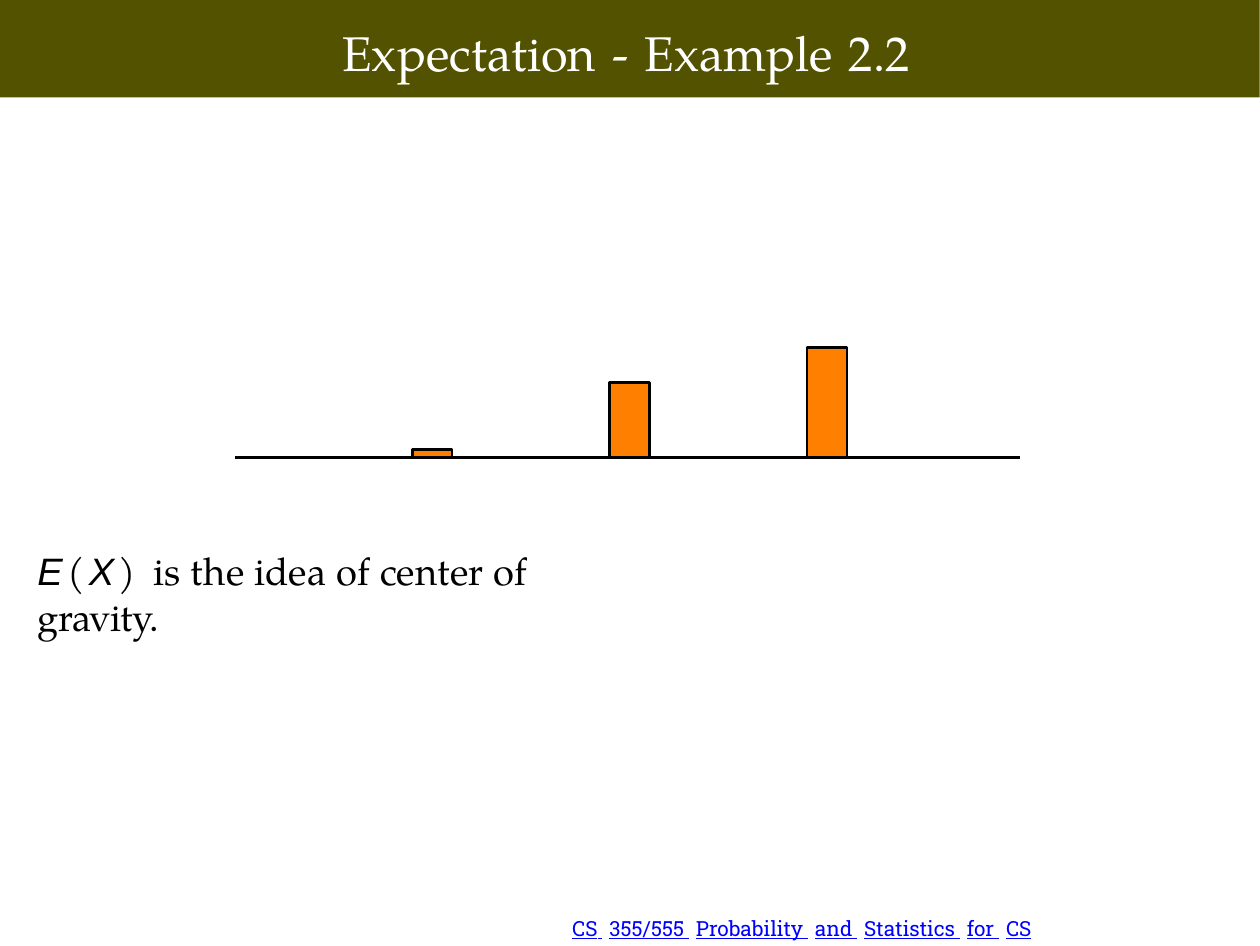
import pptx
import pptx.util
import pptx.dml.color
import pptx.enum.shapes
import pptx.enum.text
import lxml.etree

# Content: runs are (text, font, italic, letter spacing in points)
SERIF, SANS, SLAB = "TeX Gyre Pagella", "Arial", "Roboto Slab"
TITLE = "Expectation - Example 2.2"
FORMULA = [("E", SANS, True, 1.2), ("(", SERIF, False, 1.2),
           ("X", SANS, True, 1.2), (") ", SERIF, False, 1.2)]
STATEMENT = "is the idea of center of"
STATEMENT_END = [(" ", SERIF, False, 0), ("gravity.", SERIF, False, -0.2)]
COURSE = "CS 355/555 Probability and Statistics for CS"
BAR_HEIGHTS = [0.03, 0.3, 0.44]

# Geometry: slide in points, parts in inches
SLIDE_WIDTH, SLIDE_HEIGHT = 363, 272.5
BAND_WIDTH, BAND_HEIGHT = 5.04, 0.39
AXIS_LEFT, AXIS_RIGHT, AXIS_Y = 0.94, 4.08, 1.83
FIRST_BAR, BAR_STEP, BAR_WIDTH = 1.65, 0.79, 0.16

inch, pt = pptx.util.Inches, pptx.util.Pt


def colour(code):
    return pptx.dml.color.RGBColor.from_string(code)


def spread(text, font, gap):
    """Split a text into runs whose word gaps are widened."""
    runs = []
    for word in text.split():
        if runs:
            runs.append((" ", font, False, gap))
        runs.append((word, font, False, 0))
    return runs


def write(box, runs, size, code, margins=(0, 0, 0, 0), underline=None):
    frame = box.text_frame
    frame.word_wrap = True
    frame.auto_size = pptx.enum.text.MSO_AUTO_SIZE.NONE
    frame.vertical_anchor = pptx.enum.text.MSO_ANCHOR.TOP
    (frame.margin_left, frame.margin_top,
     frame.margin_right, frame.margin_bottom) = map(inch, margins)
    para = frame.paragraphs[0]
    for text, font, italic, spacing in runs:
        span = para.add_run()
        span.text = text
        span.font.name, span.font.size = font, pt(size)
        span.font.italic, span.font.underline = italic, underline
        span.font.color.rgb = colour(code)
        if spacing:
            span.font._element.set("spc", str(round(spacing * 100)))
    return para


deck = pptx.Presentation()
deck.slide_width, deck.slide_height = pt(SLIDE_WIDTH), pt(SLIDE_HEIGHT)
page = deck.slides.add_slide(deck.slide_layouts[5])

# Title band
title = page.shapes.title
title.left, title.top = 0, 0
title.width, title.height = inch(BAND_WIDTH), inch(BAND_HEIGHT)
title.fill.solid()
title.fill.fore_color.rgb = colour("525200")
para = write(title, spread(TITLE, SERIF, 1.1), 14, "FFFFFF", (0, 0.09, 0.03, 0))
para.alignment = pptx.enum.text.PP_ALIGN.CENTER

# Axis
axis = page.shapes.add_connector(
    pptx.enum.shapes.MSO_CONNECTOR.STRAIGHT,
    inch(AXIS_LEFT), inch(AXIS_Y), inch(AXIS_RIGHT), inch(AXIS_Y))
axis.line.color.rgb = colour("000000")
axis.line.width = pt(0.8)
lxml.etree.SubElement(axis._element.spPr, pptx.oxml.ns.qn("a:effectLst"))

# Bars standing on the axis
for number, height in enumerate(BAR_HEIGHTS):
    bar = page.shapes.add_shape(
        pptx.enum.shapes.MSO_SHAPE.RECTANGLE,
        inch(FIRST_BAR + number * BAR_STEP), inch(AXIS_Y - height),
        inch(BAR_WIDTH), inch(height))
    bar.shadow.inherit = False
    bar.fill.solid()
    bar.fill.fore_color.rgb = colour("FF7F00")
    bar.line.color.rgb = colour("000000")
    bar.line.width = pt(0.8)

# Statement
statement = page.shapes.add_textbox(inch(0.15), inch(2.19), inch(2.4), inch(0.4))
write(statement, FORMULA + spread(STATEMENT, SERIF, 0.1) + STATEMENT_END,
      11, "000000")

# Course line, with widened word gaps
course = page.shapes.add_textbox(inch(2.29), inch(3.67), inch(2.1), inch(0.11))
para = write(course, spread(COURSE, SLAB, 1.9), 6, "0000FF", underline=True)
para.line_spacing = pt(6.7)

deck.save("out.pptx")
